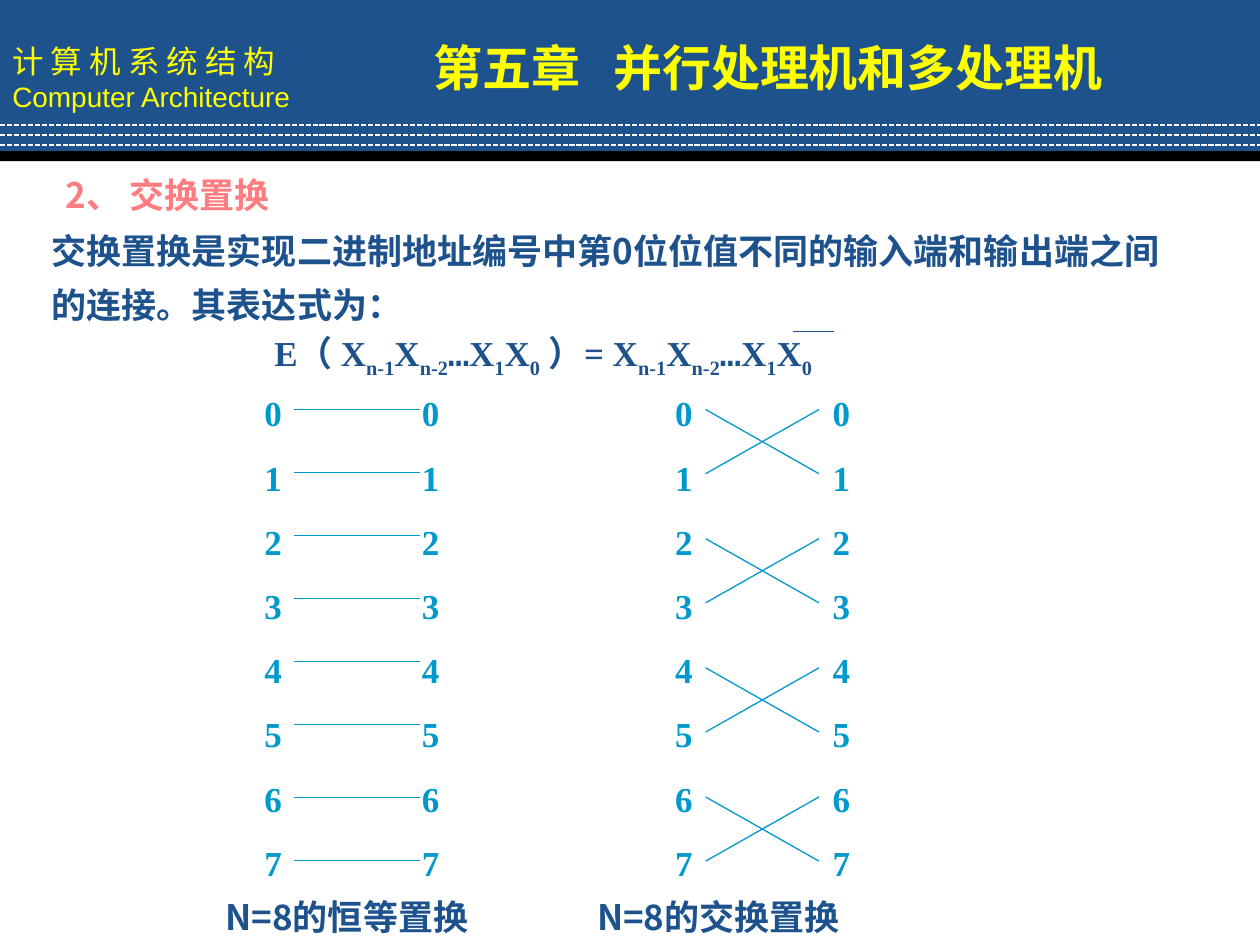
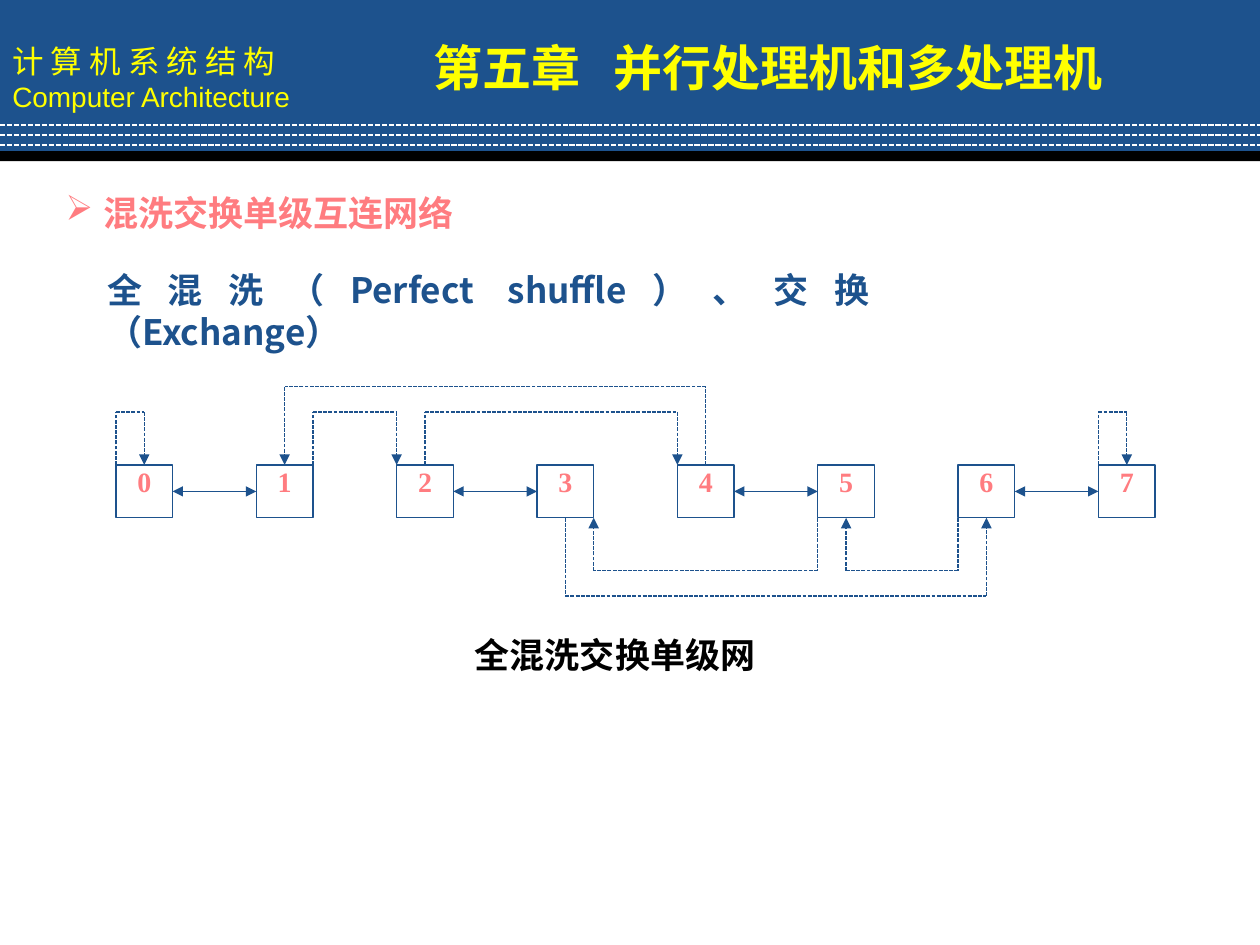
from itertools import product
from lxml.etree import SubElement
from pptx import Presentation
from pptx.dml.color import RGBColor
from pptx.enum.dml import MSO_LINE
from pptx.enum.shapes import MSO_CONNECTOR, MSO_SHAPE
from pptx.enum.text import MSO_ANCHOR, MSO_AUTO_SIZE, PP_ALIGN
from pptx.oxml.ns import qn
from pptx.util import Emu, Inches, Pt

COLORS = {"navy": "1D528D", "yellow": "FFFF00", "coral": "FF7C80",
          "teal": "0099CC", "black": "000000", "white": "FFFFFF"}
CJK, SERIF, SANS, MONO = "Noto Sans CJK SC", "Times New Roman", "Arial", "Courier New"
STYLES = {
    "course": ({"name": CJK, "size": Pt(18), "bold": False}, "yellow"),
    "course_en": ({"name": SANS, "size": Pt(16), "bold": False}, "yellow"),
    "chapter": ({"name": CJK, "size": Pt(28), "bold": True}, "yellow"),
    "heading": ({"name": CJK, "size": Pt(20), "bold": True}, "coral"),
    "body": ({"name": CJK, "size": Pt(20), "bold": True}, "navy"),
    "formula": ({"name": SERIF, "size": Pt(20), "bold": True}, "navy"),
    "dots": ({"name": MONO, "size": Pt(20), "bold": True}, "navy"),
    "port": ({"name": SERIF, "size": Pt(20), "bold": True}, "teal"),
    "node": ({"name": SERIF, "size": Pt(16), "bold": True}, "coral"),
    "caption": ({"name": CJK, "size": Pt(20), "bold": True}, "black"),
}

COURSE = [("计 算 机 系 统 结 构", "course"), ("Computer Architecture", "course_en")]
CHAPTER = [("第五章", 0), (" ", 1260), ("并行处理机和多处理机", 0)]
EXCHANGE = {
    "title": "2、 交换置换",
    "body": "交换置换是实现二进制地址编号中第0位位值不同的输入端和输出端之间的连接。其表达式为：",
    "captions": [(1.69, "N=8的恒等置换"), (4.64, "N=8的交换置换")],
}
ADDRESS = ["X", "_n-1", "X", "_n-2", "…", "X", "_1", "X"]
FORMULA = ["E（ "] + ADDRESS + ["_0", " ）= "] + ADDRESS + ["_0"]
PORTS = 8
PORT_COLUMNS = (2.0, 3.25, 5.26, 6.51)

SHUFFLE = {
    "title": "混洗交换单级互连网络",
    "body": "全混洗（Perfect shuffle）、交换（Exchange）",
    "caption": "全混洗交换单级网",
}
NODE_LEFT, NODE_TOP, NODE_WIDTH, NODE_HEIGHT, NODE_PITCH = 0.92, 3.69, 0.45, 0.42, 1.114
LANES = {"near": 0.42, "far": 0.62}
ROUTES = [
    (0, 0, 0, 0.5, "top", "near"), (1, 1, 2, 0, "top", "near"),
    (2, 0.5, 4, 0, "top", "near"), (4, 0.5, 1, 0.5, "top", "far"),
    (5, 0, 3, 1, "bottom", "near"), (6, 0, 5, 0.5, "bottom", "near"),
    (3, 0.5, 6, 0.5, "bottom", "far"), (7, 0, 7, 0.5, "top", "near"),
]
SITES = {"top": 0, "bottom": 2}


def color(name):
    return RGBColor.from_string(COLORS[name])


def add_span(para, text, style, **extras):
    span = para.add_run()
    span.text = text
    values, tint = STYLES[style]
    for key, value in values.items():
        setattr(span.font, key, value)
    span.font.color.rgb = color(tint)
    properties = span._r.get_or_add_rPr()
    for key, value in extras.items():
        if value:
            properties.set(key, str(value))
    east = MONO if values["name"] == MONO else CJK
    SubElement(properties, qn("a:ea"), typeface=east)


def format_para(para, bullet=None, **values):
    properties = para._p.get_or_add_pPr()
    indent = Inches(0.3) if bullet else 0
    properties.set("marL", str(indent))
    properties.set("indent", str(-indent))
    if bullet:
        tint = SubElement(properties, qn("a:buClr"))
        SubElement(tint, qn("a:srgbClr"), val=COLORS["coral"])
        SubElement(properties, qn("a:buChar"), char=bullet)
    else:
        SubElement(properties, qn("a:buNone"))
    for key, value in {"alignment": PP_ALIGN.LEFT, "space_before": Pt(0), **values}.items():
        setattr(para, key, value)


def place(box, left, top, width, height, anchor=MSO_ANCHOR.TOP, **margins):
    for key, value in zip(("left", "top", "width", "height"), (left, top, width, height)):
        setattr(box, key, Inches(value))
    frame = box.text_frame
    settings = {"word_wrap": True, "auto_size": MSO_AUTO_SIZE.NONE, "vertical_anchor": anchor,
                "margin_left": Inches(0.1), "margin_right": Inches(0.1),
                "margin_top": Inches(0.05), "margin_bottom": Inches(0.05), **margins}
    for key, value in settings.items():
        setattr(frame, key, value)
    return frame


def add_frame(page, *area):
    frame = place(page.shapes.add_textbox(0, 0, 0, 0), *area)
    format_para(frame.paragraphs[0])
    return frame


def add_text(page, area, text, style):
    add_span(add_frame(page, *area).paragraphs[0], text, style)


def fill_placeholder(box, area, text, style, anchor=MSO_ANCHOR.TOP, **values):
    para = place(box, *area, anchor=anchor).paragraphs[0]
    format_para(para, **values)
    add_span(para, text, style)


def add_line(page, start, end, tint, width=0.75, dotted=False, arrows=(), joins=(None, None)):
    line = page.shapes.add_connector(MSO_CONNECTOR.STRAIGHT, *map(Inches, (*start, *end)))
    for join, connect in zip(joins, (line.begin_connect, line.end_connect)):
        if join:
            connect(*join)
    line.line.color.rgb = color(tint)
    line.line.width = Pt(width)
    if dotted:
        line.line.dash_style = MSO_LINE.SQUARE_DOT
    for arrow in arrows:
        SubElement(line.get_or_add_ln(), qn(f"a:{arrow}"), type="triangle")
    SubElement(line.element.spPr, qn("a:effectLst"))
    return line


def add_rectangle(page, area, fill=None):
    box = page.shapes.add_shape(MSO_SHAPE.RECTANGLE, *map(Inches, area))
    box.shadow.inherit = False
    if fill:
        box.fill.solid()
        box.fill.fore_color.rgb = color(fill)
        box.line.fill.background()
    else:
        box.fill.background()
        box.line.color.rgb = color("navy")
        box.line.width = Pt(0.75)
    return box


def build_band(page):
    band = add_rectangle(page, (0, 0, 10, 1.23), "navy")
    frame = place(band, 0, 0, 10, 1.23, MSO_ANCHOR.MIDDLE)
    for row, (text, style) in enumerate(COURSE):
        para = frame.add_paragraph() if row else frame.paragraphs[0]
        format_para(para)
        add_span(para, text, style)
    parts = [band, add_rectangle(page, (0, 1.2, 10, 0.08), "black")]
    for row in range(3):
        y = 0.99 + 0.08 * row
        parts.append(add_line(page, (0, y), (10, y), "white", 1, dotted=True))
    tree = page.slide_layout.shapes.element
    for index, part in enumerate(parts):
        part.element.xpath(".//p:cNvPr")[0].set("id", str(100 + index))
        tree.insert(2 + index, part.element)


def add_chapter(page):
    para = add_frame(page, 3.34, 0.25, 6.42, 0.57).paragraphs[0]
    for text, spacing in CHAPTER:
        add_span(para, text, "chapter", spc=spacing)


def build_exchange(page):
    fill_placeholder(page.shapes.title, (0.42, 1.23, 8.58, 0.54), EXCHANGE["title"],
                     "heading", line_spacing=1.3)
    fill_placeholder(page.placeholders[1], (0.31, 1.67, 9.27, 0.97), EXCHANGE["body"],
                     "body", line_spacing=1.3)
    add_chapter(page)

    formula = add_frame(page, 2.08, 2.58, 5.04, 0.48).paragraphs[0]
    for part in FORMULA:
        style = "dots" if part == "…" else "formula"
        add_span(formula, part.lstrip("_"), style, baseline=-25000 if part[0] == "_" else 0)
    add_line(page, (6.29, 2.63), (6.62, 2.63), "navy", 1)

    for left in PORT_COLUMNS:
        frame = add_frame(page, left, 3.06, 0.4, 4.05)
        for port in range(PORTS):
            para = frame.add_paragraph() if port else frame.paragraphs[0]
            format_para(para, space_before=Pt(12.7 if port else 0))
            add_span(para, str(port), "port")
    for left, caption in EXCHANGE["captions"]:
        add_text(page, (left, 7.06, 2.5, 0.44), caption, "body")

    for port in range(PORTS):
        y = 3.25 + 0.5 * port + (0.08 if port > 5 else 0)
        add_line(page, (2.33, y), (3.33, y), "teal")
    for pair, falling in product(range(PORTS // 2), (True, False)):
        upper = 3.25 + 1.025 * pair
        ends = (upper, upper + 0.51) if falling else (upper + 0.51, upper)
        add_line(page, (5.6, ends[0]), (6.5, ends[1]), "teal")


def build_shuffle(page):
    fill_placeholder(page.shapes.title, (0.42, 1.33, 5.33, 0.57), SHUFFLE["title"], "heading",
                     anchor=MSO_ANCHOR.BOTTOM, bullet="➢")
    fill_placeholder(page.placeholders[1], (0.75, 2.08, 6.25, 0.77), SHUFFLE["body"], "body",
                     alignment=PP_ALIGN.JUSTIFY)
    add_chapter(page)

    nodes = []
    for number in range(PORTS):
        area = (NODE_LEFT + NODE_PITCH * number, NODE_TOP, NODE_WIDTH, NODE_HEIGHT)
        node = add_rectangle(page, area)
        margins = dict.fromkeys(("margin_left", "margin_right", "margin_top", "margin_bottom"), 0)
        para = place(node, *area, **margins).paragraphs[0]
        format_para(para, alignment=PP_ALIGN.CENTER)
        add_span(para, str(number), "node")
        nodes.append(node)

    for left, right in zip(nodes[::2], nodes[1::2]):
        add_line(page, (0, 0), (1, 1), "navy", arrows=("headEnd", "tailEnd"),
                 joins=((left, 3), (right, 1)))

    for source, source_share, target, target_share, side, lane in ROUTES:
        x1, x2 = (Emu(nodes[node].left).inches + share * NODE_WIDTH
                  for node, share in ((source, source_share), (target, target_share)))
        edge = NODE_TOP if side == "top" else NODE_TOP + NODE_HEIGHT
        level = edge + LANES[lane] * (-1 if side == "top" else 1)
        start, end = ((nodes[node], SITES[side]) if share == 0.5 else None
                      for node, share in ((source, source_share), (target, target_share)))
        add_line(page, (x1, edge), (x1, level), "navy", dotted=True, joins=(start, None))
        add_line(page, (x1, level), (x2, level), "navy", dotted=True)
        add_line(page, (x2, level), (x2, edge), "navy", dotted=True,
                 arrows=("tailEnd",), joins=(None, end))

    add_text(page, (3.67, 4.98, 3.25, 0.44), SHUFFLE["caption"], "caption")


def main():
    deck = Presentation()
    deck.slide_width, deck.slide_height = Inches(10), Inches(7.5)
    layout = deck.slide_layouts[1]
    pages = [deck.slides.add_slide(layout) for _ in range(2)]
    build_band(pages[0])
    build_exchange(pages[0])
    build_shuffle(pages[1])
    deck.save("out.pptx")


if __name__ == "__main__":
    main()
